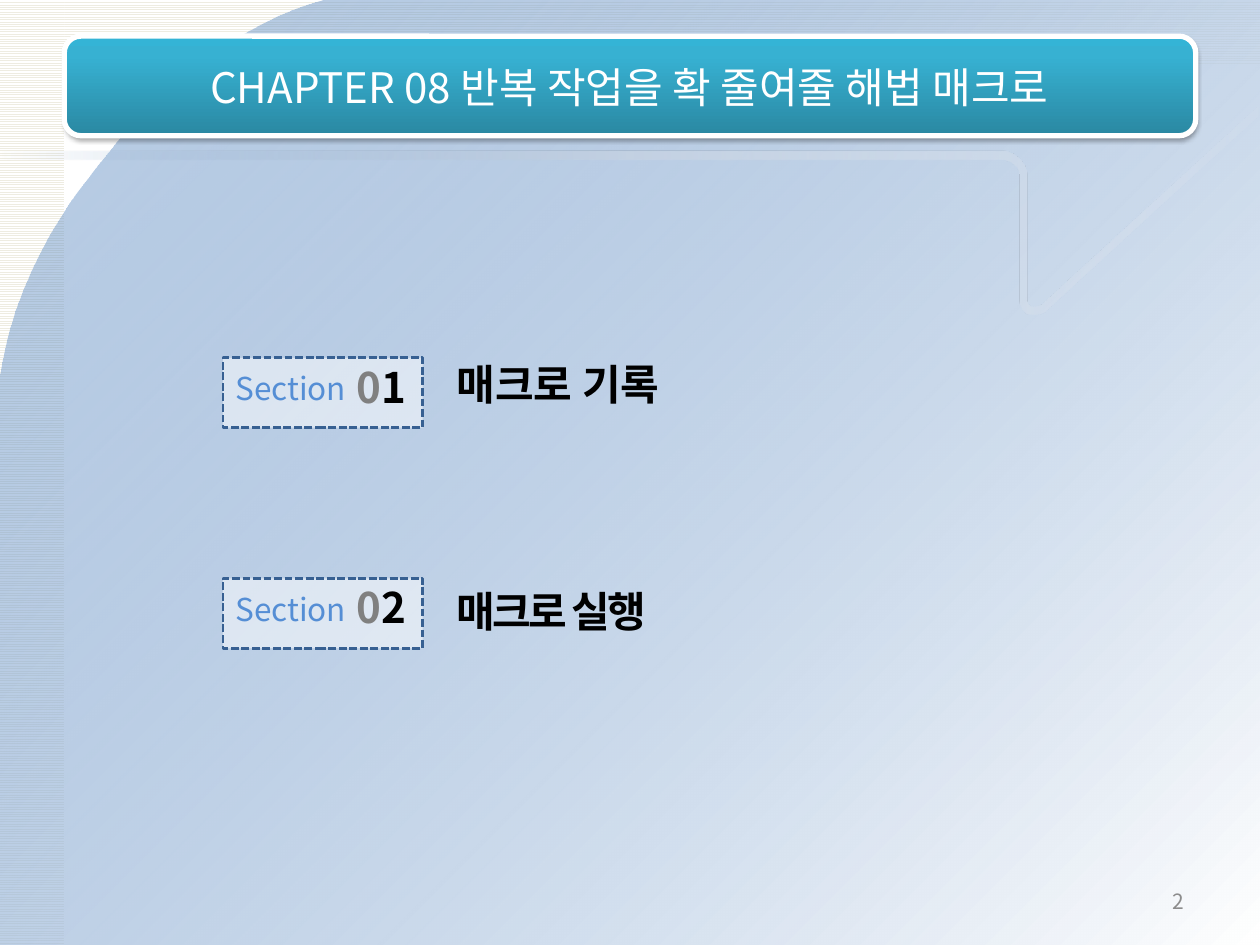
from typing import NamedTuple

from lxml.etree import SubElement
from pptx import Presentation
from pptx.dml.color import RGBColor
from pptx.enum.dml import MSO_LINE, MSO_PATTERN
from pptx.enum.shapes import MSO_SHAPE
from pptx.enum.text import MSO_ANCHOR, MSO_AUTO_SIZE, PP_ALIGN
from pptx.oxml.ns import qn
from pptx.util import Inches, Pt

FONT = "Noto Sans CJK KR"
CELL = Inches(0.1)  # the slide is a grid of 100 columns by 75 rows
COLS, ROWS = 100, 75


class Box(NamedTuple):
    col: float
    row: float
    cols: float
    rows: float


class Stop(NamedTuple):
    pos: int
    hue: str
    alpha: int = 100


class Run(NamedTuple):
    text: str
    hue: str


class Section(NamedTuple):
    digit: str
    name: str
    row: float
    head: Box
    gap: float = 0


BAR = Box(5.1, 2.87, 89.8, 7.9)
SECTIONS = [
    Section("1", "매크로 기록", 28.4, Box(35.25, 28, 50.2, 5)),
    Section("2", "매크로 실행", 45.9, Box(35.25, 46, 51.8, 5), -1.5),
]
# A pair is a line end; a triple of pairs is a Bezier curve.
PANEL = [
    (25.8, 0),
    ((19, 1.6), (11.6, 8.3), (9.8, 10.7)),
    ((8, 13.2), (1.6, 19.4), (0, 30.1)),
    (0, ROWS), (COLS, ROWS), (COLS, 0), (25.8, 0),
]
BAND = [
    (99.9, 8.4),
    ((95.1, 12.8), (82.7, 24), (82.7, 24.1)),
    ((82.3, 24.3), (81.9, 24.3), (81.7, 24.2)),
    ((81.6, 24.1), (81.5, 23.9), (81.5, 23.7)),
    (81.5, 13.9),
    ((81.5, 12.9), (80.5, 12), (79.6, 12)),
    (0, 12), (0, 12.7), (79.6, 12.7),
    ((80.1, 12.7), (80.9, 13.2), (80.9, 13.9)),
    (80.9, 23.7),
    ((80.9, 24.2), (81.1, 24.5), (81.4, 24.8)),
    ((81.8, 25), (82.5, 25), (83, 24.6)),
    (83, 24.6),
    ((83, 24.6), (94.7, 13.9), (99.9, 9.2)),
    (99.9, 8.4),
]


def rgb(hue: str) -> RGBColor:
    return RGBColor.from_string(hue)


def place(box: Box) -> list[int]:
    return [round(n * CELL) for n in box]


def tint(parent, hue: str, alpha: int) -> None:
    node = SubElement(parent, qn("a:srgbClr"), val=hue)
    if alpha < 100:
        SubElement(node, qn("a:alpha"), val=str(alpha * 1000))


def blend(shape, stops: list[Stop], angle: int) -> None:
    """Fill with a gradient; the angle runs clockwise."""
    shape.fill.gradient()
    shape.fill.gradient_angle = -angle % 360
    rail = shape._element.spPr.find(".//" + qn("a:gsLst"))
    for old in list(rail):
        rail.remove(old)
    for stop in stops:
        node = SubElement(rail, qn("a:gs"), pos=str(stop.pos * 1000))
        tint(node, stop.hue, stop.alpha)


def edge(shape, hue: str, width: float) -> None:
    shape.line.color.rgb = rgb(hue)
    shape.line.width = Pt(width)


def add_box(shapes, box: Box, kind=MSO_SHAPE.RECTANGLE):
    shape = shapes.add_shape(kind, *place(box))
    shape.shadow.inherit = False
    shape.line.fill.background()
    return shape


def add_strip(shapes, box: Box) -> None:
    fill = add_box(shapes, box).fill
    fill.patterned()
    fill.pattern = MSO_PATTERN.LIGHT_HORIZONTAL
    fill.fore_color.rgb = rgb("EEECE1")
    fill.back_color.rgb = rgb("FFFFFF")


def bend(shape, steps: list) -> None:
    """Join each three line ends that belong to a curve into one Bezier."""
    ends = iter(shape._element.spPr.findall(".//" + qn("a:lnTo")))
    for step in steps[1:]:
        node = next(ends)
        if len(step) == 3:
            node.tag = qn("a:cubicBezTo")
            for _ in range(2):
                spare = next(ends)
                node.append(spare[0])
                spare.getparent().remove(spare)


def add_free(shapes, steps: list, stops: list[Stop], angle: int) -> None:
    dots = []
    for step in steps:
        dots += [step] if len(step) == 2 else step
    start, *rest = [(round(x * CELL), round(y * CELL)) for x, y in dots]
    pen = shapes.build_freeform(*start)
    pen.add_line_segments(rest, close=False)
    shape = pen.convert_to_shape()
    bend(shape, steps)
    shape.shadow.inherit = False
    shape.line.fill.background()
    blend(shape, stops, angle)


def write(shape, *runs: Run, size: float, bold: bool = False,
          align=PP_ALIGN.LEFT, anchor=MSO_ANCHOR.TOP,
          wrap: bool = True, gap: float = 0) -> None:
    frame = shape.text_frame
    frame.word_wrap = wrap
    frame.auto_size = MSO_AUTO_SIZE.NONE
    frame.vertical_anchor = anchor
    line = frame.paragraphs[0]
    line.alignment = align
    for item in runs:
        run = line.add_run()
        run.text = item.text
        font = run.font
        font.size, font.bold, font.name = Pt(size), bold, FONT
        font.color.rgb = rgb(item.hue)
        props = run._r.get_or_add_rPr()
        SubElement(props, qn("a:ea"), typeface=FONT)
        if gap:
            props.set("spc", str(round(gap * 100)))


def add_text(shapes, box: Box, *runs: Run, **form) -> None:
    write(shapes.add_textbox(*place(box)), *runs, **form)


def add_bar(shapes) -> None:
    bar = add_box(shapes, BAR, MSO_SHAPE.ROUNDED_RECTANGLE)
    blend(bar, [Stop(0, "2A88A2"), Stop(80, "37B1D2"), Stop(100, "34B4D6")], 270)
    edge(bar, "46AAC5", 0.75)
    shade = SubElement(bar._element.spPr.find(qn("a:effectLst")), qn("a:outerShdw"),
                       blurRad=str(Pt(3.1)), dist=str(Pt(1.8)),
                       dir="5400000", rotWithShape="0")
    tint(shade, "000000", 35)
    rim = add_box(shapes, BAR, MSO_SHAPE.ROUNDED_RECTANGLE)
    rim.fill.background()
    edge(rim, "FFFFFF", 3)


def add_section(shapes, part: Section) -> None:
    group = shapes.add_group_shape().shapes
    tag = add_box(group, Box(17.7, part.row, 15.85, 5.55))
    tag.fill.solid()
    tag.fill.fore_color.rgb = rgb("FFFFFF")
    SubElement(tag._element.spPr.find(".//" + qn("a:srgbClr")), qn("a:alpha"), val="50000")
    edge(tag, "376092", 1.5)
    tag.line.dash_style = MSO_LINE.SQUARE_DOT
    add_text(group, Box(17.7, part.row + 0.4, 11, 4.8),
             Run("Section", "558ED5"), size=18, wrap=False)
    add_text(group, Box(27.3, part.row - 0.2, 6.3, 6),
             Run("0", "808080"), Run(part.digit, "000000"),
             size=24, bold=True, wrap=False)
    add_text(shapes, part.head, Run(part.name, "000000"),
             size=24, bold=True, gap=part.gap)


def main() -> None:
    prs = Presentation()
    prs.slide_width, prs.slide_height = COLS * CELL, ROWS * CELL
    slide = prs.slides.add_slide(prs.slide_layouts[5])
    shapes = slide.shapes
    title = shapes.title
    add_strip(shapes, Box(0, 0, COLS, 5.1))
    add_strip(shapes, Box(0, 0, 5.1, ROWS))
    add_free(shapes, PANEL, [Stop(0, "4F81BD", 39), Stop(100, "FFFFFF")], 45)
    add_free(shapes, BAND, [Stop(0, "9CB5D3", 0), Stop(50, "C3D1E2"),
                            Stop(100, "E2E8F0", 10)], 0)
    add_bar(shapes)
    add_text(shapes, Box(71.7, 69.5, 23.3, 4), Run("2", "8C8C8C"), size=12,
             align=PP_ALIGN.RIGHT, anchor=MSO_ANCHOR.MIDDLE)
    title.left, title.top, title.width, title.height = place(Box(5, 3, 89.9, 7.7))
    write(title, Run("CHAPTER 08 반복 작업을 확 줄여줄 해법 매크로", "FFFFFF"),
          size=24, align=PP_ALIGN.CENTER, anchor=MSO_ANCHOR.MIDDLE)
    shapes._spTree.append(title._element)  # bring the title in front of its bar
    for part in SECTIONS:
        add_section(shapes, part)
    prs.save("out.pptx")


if __name__ == "__main__":
    main()
